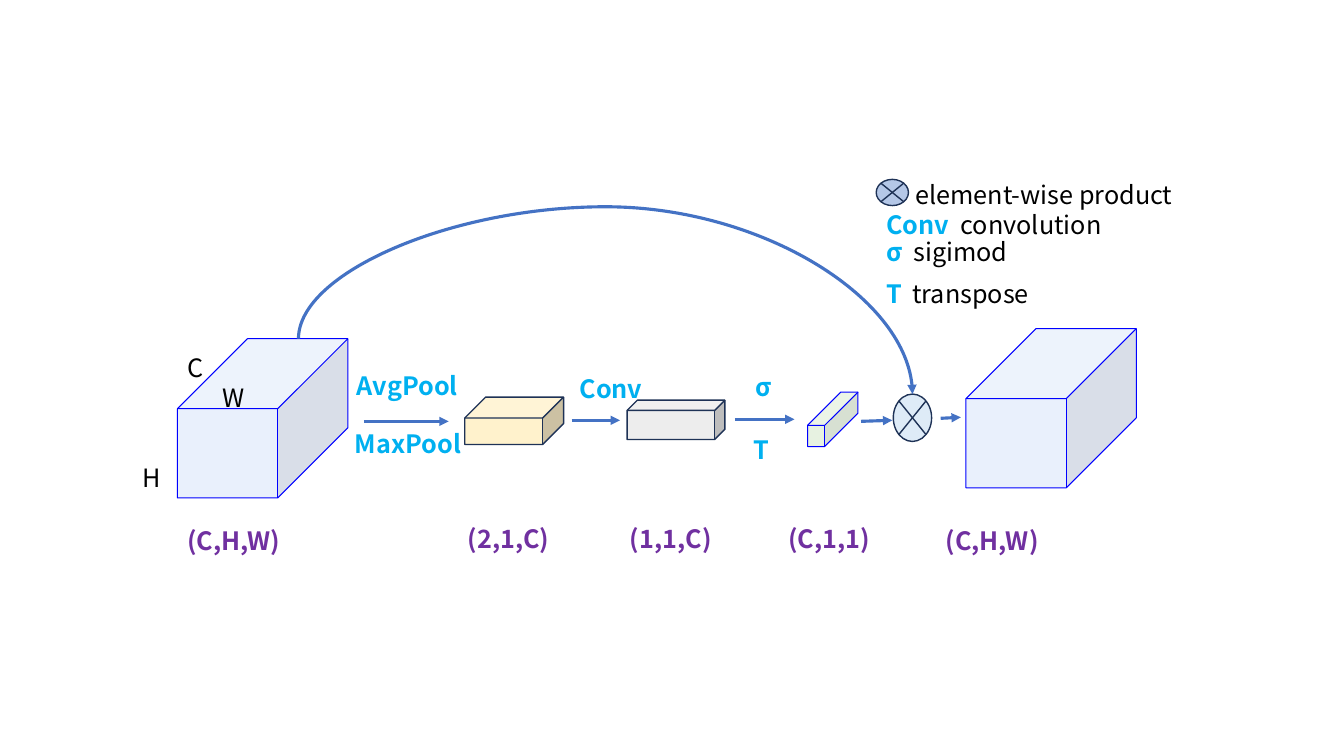
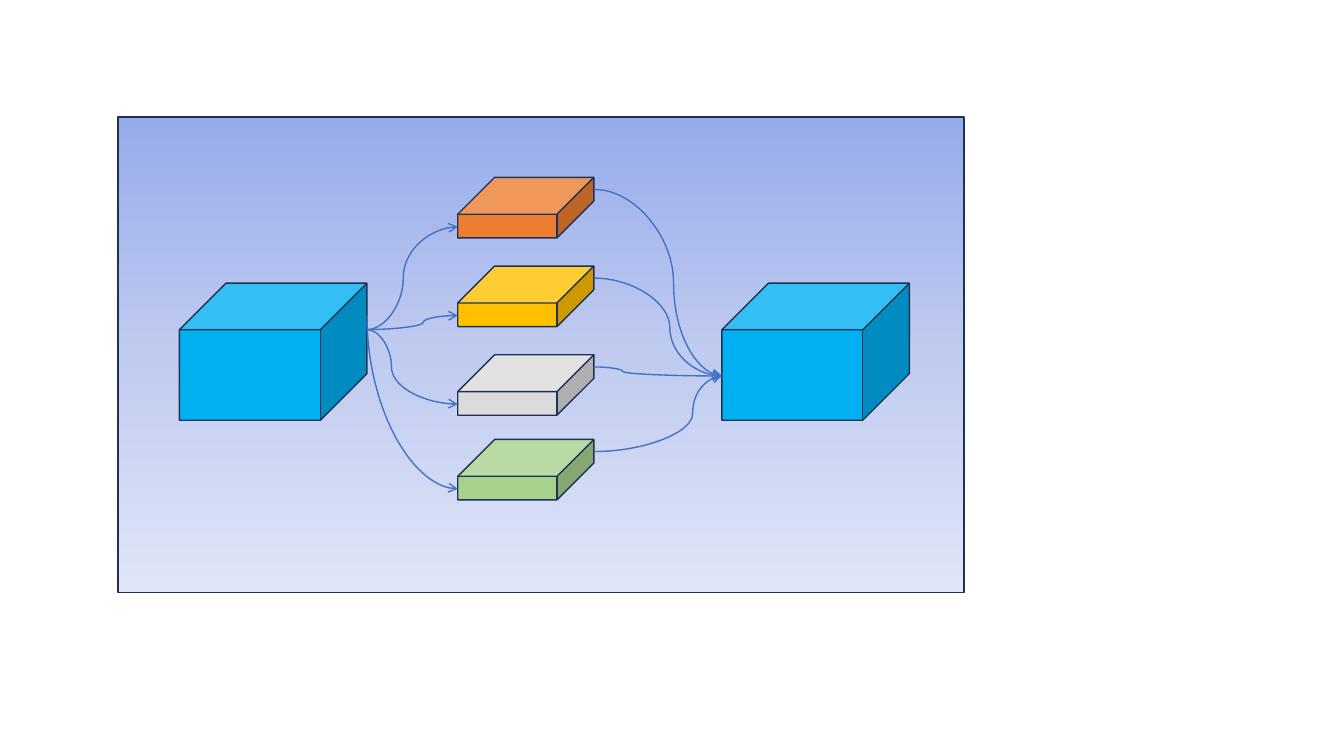
from copy import deepcopy

from lxml.etree import SubElement
from pptx import Presentation
from pptx.dml.color import RGBColor
from pptx.enum.shapes import MSO_CONNECTOR, MSO_SHAPE
from pptx.enum.text import MSO_AUTO_SIZE
from pptx.oxml.ns import qn
from pptx.util import Inches, Pt

FONT = "Noto Sans CJK SC"
BLACK, CYAN, PURPLE = "000000", "00B0F0", "7030A0"
OUTLINE, EDGE, ARROW = "1E3256", "0000FF", "4472C4"
FEATURE = "C9DAF8"


def rgb(color):
    return RGBColor.from_string(color)


class Deck:
    """Holds the presentation, its style and the slide being drawn."""

    def __init__(self):
        self.prs = Presentation()
        self.prs.slide_width, self.prs.slide_height = Inches(13.33), Inches(7.5)

    def new_slide(self):
        self.s = self.prs.slides.add_slide(self.prs.slide_layouts[6])

    def shape(self, kind, x, y, w, h, fill=None, line=OUTLINE, weight=1):
        sp = self.s.shapes.add_shape(kind, Inches(x), Inches(y), Inches(w), Inches(h))
        sp.shadow.inherit = False
        if fill:
            sp.fill.solid()
            sp.fill.fore_color.rgb = rgb(fill)
        sp.line.color.rgb = rgb(line)
        sp.line.width = Pt(weight)
        return sp

    def cube(self, x, y, w, h, depth, fill):
        sp = self.shape(MSO_SHAPE.CUBE, x, y, w, h, fill)
        sp.adjustments[0] = depth
        return sp

    def glass_cube(self, x, y, w, h, depth, fill):
        """Cube with a 40 % opaque fill and a thin blue edge."""
        sp = self.cube(x, y, w, h, depth, fill)
        sp.line.color.rgb = rgb(EDGE)
        sp.line.width = Pt(0.75)
        color = sp._element.spPr.find(qn("a:solidFill"))[0]
        SubElement(color, qn("a:alpha"), val="40000")

    def product(self, x, y, w, h, fill):
        self.shape(MSO_SHAPE.FLOWCHART_SUMMING_JUNCTION, x, y, w, h, fill)

    def gradient_panel(self, x, y, w, h, colors):
        """Rectangle shaded from top to bottom through evenly spaced colours."""
        sp = self.shape(MSO_SHAPE.RECTANGLE, x, y, w, h)
        sp.fill.gradient()
        sp.fill.gradient_angle = 270
        stops = sp._element.spPr.find(qn("a:gradFill")).find(qn("a:gsLst"))
        while len(stops) < len(colors):
            stops.append(deepcopy(stops[0]))
        for i, (stop, color) in enumerate(zip(sp.fill.gradient_stops, colors)):
            stop.position = i / (len(colors) - 1)
            stop.color.rgb = rgb(color)

    def paragraph(self, x, y, w):
        """Add a one-line text box and return its paragraph."""
        tf = self.s.shapes.add_textbox(Inches(x), Inches(y), Inches(w), Inches(0.4)).text_frame
        tf.word_wrap = True
        tf.auto_size = MSO_AUTO_SIZE.SHAPE_TO_FIT_TEXT
        p = tf.paragraphs[0]
        p.font.name, p.font.size = FONT, Pt(18)
        return p

    def text(self, x, y, w, words, color=BLACK):
        p = self.paragraph(x, y, w)
        p.add_run().text = words
        p.font.color.rgb = rgb(color)
        p.font.bold = color != BLACK

    def legend_entry(self, y, term, meaning, tab):
        p = self.paragraph(8.69, y, 2.72)
        tabs = SubElement(p._p.get_or_add_pPr(), qn("a:tabLst"))
        p._p.pPr.insert(0, tabs)
        SubElement(tabs, qn("a:tab"), pos=str(Inches(tab)), algn="l")
        for words, color in ((term + "\t", CYAN), (meaning, BLACK)):
            r = p.add_run()
            r.text = words
            r.font.color.rgb = rgb(color)
            r.font.bold = color != BLACK

    def connector(self, kind, x1, y1, x2, y2, weight, head):
        cx = self.s.shapes.add_connector(kind, Inches(x1), Inches(y1), Inches(x2), Inches(y2))
        cx.line.color.rgb = rgb(ARROW)
        cx.line.width = Pt(weight)
        SubElement(cx.line._get_or_add_ln(), qn("a:tailEnd"), type=head)
        SubElement(cx._element.spPr, qn("a:effectLst"))
        return cx

    def arrow(self, x1, y1, x2, y2):
        self.connector(MSO_CONNECTOR.STRAIGHT, x1, y1, x2, y2, 2.25, "triangle")

    def curve(self, x1, y1, x2, y2, bend=None, upright=False, weight=1, head="arrow"):
        """Curved arrow; bend places its middle, none gives a quarter turn.

        An upright curve leaves its start vertically: its frame is turned
        by 270 degrees about the centre and mirrored.
        """
        if upright:
            mid_x, mid_y = (x1 + x2) / 2, (y1 + y2) / 2
            half_w, half_h = (y2 - y1) / 2, (x2 - x1) / 2
            x1, x2 = mid_x + half_w, mid_x - half_w
            y1, y2 = mid_y - half_h, mid_y + half_h
        cx = self.connector(MSO_CONNECTOR.CURVE, x1, y1, x2, y2, weight, head)
        spPr = cx._element.spPr
        if upright:
            spPr.find(qn("a:xfrm")).set("rot", str(270 * 60000))
        geom = spPr.find(qn("a:prstGeom"))
        if bend is None:
            geom.set("prst", "curvedConnector2")
        else:
            guides = geom.find(qn("a:avLst"))
            if guides is None:
                guides = SubElement(geom, qn("a:avLst"))
            SubElement(guides, qn("a:gd"), name="adj1", fmla=f"val {round(bend * 100000)}")


def attention_slide(d):
    d.new_slide()
    for x, y in ((1.76, 3.36), (9.58, 3.26)):
        d.glass_cube(x, y, 1.69, 1.58, 0.44, FEATURE)
    d.cube(4.61, 3.94, 0.98, 0.47, 0.44, "FFF2CC")
    d.cube(6.22, 3.97, 0.97, 0.39, 0.26, "EDEDED")
    d.glass_cube(8.01, 3.89, 0.5, 0.54, 0.66, "C5E0B4")
    d.product(8.86, 3.91, 0.38, 0.47, "DEEBF7")

    for ends in ((3.61, 4.18, 4.45, 4.18), (5.67, 4.17, 6.15, 4.17), (7.29, 4.16, 7.88, 4.16),
                 (8.54, 4.18, 8.85, 4.17), (9.33, 4.15, 9.53, 4.14)):
        d.arrow(*ends)
    d.curve(2.96, 3.36, 9.05, 3.91, -2.38, upright=True, weight=2.25, head="triangle")

    for x, y, w, size in ((1.76, 5.16, 1.54, "(C,H,W)"), (4.54, 5.14, 1.46, "(2,1,C)"),
                          (6.15, 5.14, 1.14, "(1,1,C)"), (7.72, 5.14, 1.14, "(C,1,1)"),
                          (9.28, 5.16, 1.54, "(C,H,W)")):
        d.text(x, y, w, size, PURPLE)
    for x, y, w, step in ((3.44, 3.62, 1.38, "AvgPool"), (3.42, 4.2, 1.38, "MaxPool"),
                          (5.65, 3.65, 0.86, "Conv"), (7.39, 3.63, 0.86, "σ"),
                          (7.38, 4.26, 0.5, "T")):
        d.text(x, y, w, step, CYAN)
    for x, y, w, side in ((1.76, 3.45, 0.58, "C"), (1.32, 4.54, 0.37, "H"), (2.11, 3.74, 0.38, "W")):
        d.text(x, y, w, side)

    d.product(8.69, 1.78, 0.32, 0.26, "B4C7E7")
    d.text(8.98, 1.73, 3.03, "element-wise product")
    d.legend_entry(2.03, "Conv", "convolution", 0.74)
    d.legend_entry(2.3, "σ", "sigimod", 0.27)
    d.legend_entry(2.71, "T", "transpose", 0.26)


def branches_slide(d):
    d.new_slide()
    d.gradient_panel(1.17, 1.16, 8.39, 4.72, ("96ABEA", "C0CBF0", "E0E5F7"))
    for x in (1.78, 7.16):
        d.cube(x, 2.81, 1.86, 1.36, 0.34, CYAN)

    # Top, fill, bend of the incoming curve, bend of the outgoing curve
    branches = (
        (1.76, "ED7D31", 0.4, 0.62),
        (2.64, "FFC000", 0.62, 0.59),
        (3.52, "DBDBDB", 0.27, 0.22),
        (4.36, "A9D18E", None, 0.77),
    )
    for top, fill, bend_in, bend_out in branches:
        d.cube(4.54, top, 1.35, 0.6, 0.61, fill)
        quarter = bend_in is None
        d.curve(3.64, 3.13 if quarter else 3.27, 4.54, top + 0.49, bend_in, upright=quarter)
        d.curve(5.9, top + 0.12, 7.16, 3.73, bend_out)


def main():
    d = Deck()
    attention_slide(d)
    branches_slide(d)
    d.prs.save("out.pptx")


if __name__ == "__main__":
    main()
